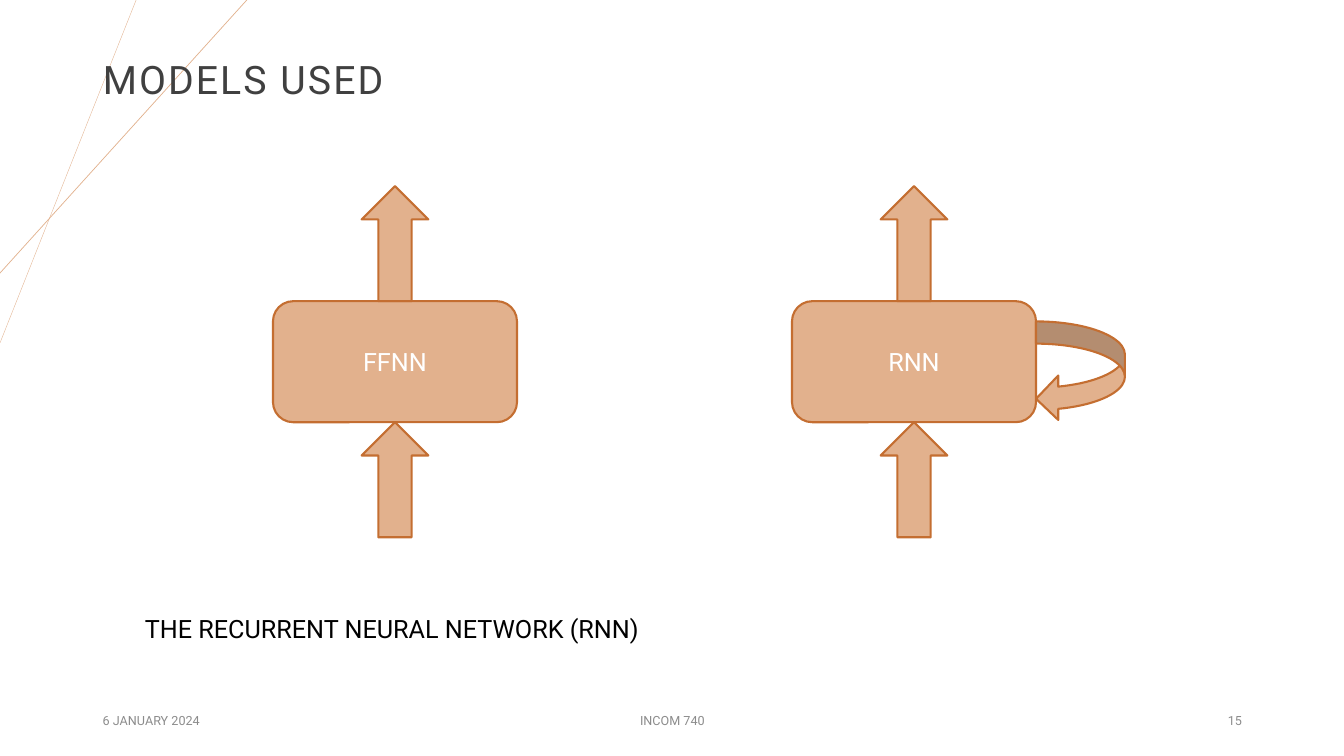
from dataclasses import dataclass

from lxml import etree
from pptx import Presentation
from pptx.dml.color import RGBColor
from pptx.enum.shapes import MSO_CONNECTOR, MSO_SHAPE
from pptx.enum.text import MSO_ANCHOR, PP_ALIGN
from pptx.oxml.ns import qn
from pptx.util import Cm, Pt

LEFT, CENTER, RIGHT = PP_ALIGN.LEFT, PP_ALIGN.CENTER, PP_ALIGN.RIGHT
TOP, MIDDLE = MSO_ANCHOR.TOP, MSO_ANCHOR.MIDDLE
STRAIGHT = MSO_CONNECTOR.STRAIGHT
ROUNDED, UP_ARROW, LOOP_ARROW = (
    MSO_SHAPE.ROUNDED_RECTANGLE, MSO_SHAPE.UP_ARROW, MSO_SHAPE.CURVED_LEFT_ARROW)

TITLE = "MODELS USED"
CAPTION = "THE RECURRENT NEURAL NETWORK (RNN)"
MODELS = [("FFNN", False), ("RNN", True)]
FOOTER = [
    ("6 JANUARY 2024", 2.34, 7.62, LEFT),
    ("INCOM 740", 11.23, 11.43, CENTER),
    ("15", 23.93, 7.62, RIGHT),
]
CORNER_LINES = [(3.43, 8.64, 0.25), (6.22, 6.88, 0.5)]


@dataclass(frozen=True)
class Theme:
    font: str = "Roboto"
    fill: str = "E2B18D"
    outline: str = "C46E31"
    title: str = "404040"
    caption: str = "000000"
    label: str = "FFFFFF"
    footer: str = "8C8C8C"
    title_size: float = 28
    body_size: float = 18
    footer_size: float = 9
    outline_width: float = 1.5


THEME = Theme()
MODEL_LEFT, MODEL_TOP, MODEL_PITCH = 6.88, 7.59, 13.08
MODEL_WIDTH, MODEL_HEIGHT = 6.15, 3.05
ARROW_WIDTH, ARROW_HEIGHT = 1.68, 2.9
LOOP_WIDTH, LOOP_HEIGHT, LOOP_DROP = 2.24, 2.51, 0.51
FOOTER_TOP, FOOTER_HEIGHT = 17.65, 1.02


def write(shape, text, *, size, color, align=LEFT, anchor=MIDDLE,
          line_spacing=None, tracking=None):
    frame = shape.text_frame
    frame.word_wrap = True
    frame.vertical_anchor = anchor
    paragraph = frame.paragraphs[0]
    paragraph.alignment = align
    paragraph.line_spacing = line_spacing
    run = paragraph.add_run()
    run.text = text
    run.font.name = THEME.font
    run.font.size = Pt(size)
    run.font.color.rgb = RGBColor.from_string(color)
    if tracking:
        run.font._element.set("spc", str(int(tracking * 100)))


def add_block(group, kind, left, top, width, height):
    block = group.shapes.add_shape(kind, Cm(left), Cm(top), Cm(width), Cm(height))
    block.shadow.inherit = False
    block.fill.solid()
    block.fill.fore_color.rgb = RGBColor.from_string(THEME.fill)
    block.line.color.rgb = RGBColor.from_string(THEME.outline)
    block.line.width = Pt(THEME.outline_width)
    return block


def add_corner_line(slide, across, down, width):
    line = slide.shapes.add_connector(STRAIGHT, Cm(across), Cm(0), Cm(0), Cm(down))
    line.line.color.rgb = RGBColor.from_string(THEME.fill)
    line.line.width = Pt(width)
    etree.SubElement(line.element.spPr, qn("a:effectLst"))


def add_model(slide, left, name, recurrent):
    group = slide.shapes.add_group_shape()
    model = add_block(group, ROUNDED, left, MODEL_TOP, MODEL_WIDTH, MODEL_HEIGHT)
    write(model, name, size=THEME.body_size, color=THEME.label, align=CENTER)
    arrow_left = left + (MODEL_WIDTH - ARROW_WIDTH) / 2
    for arrow_top in (MODEL_TOP + MODEL_HEIGHT, MODEL_TOP - ARROW_HEIGHT):
        add_block(group, UP_ARROW, arrow_left, arrow_top, ARROW_WIDTH, ARROW_HEIGHT)
    if recurrent:
        add_block(group, LOOP_ARROW, left + MODEL_WIDTH, MODEL_TOP + LOOP_DROP,
                  LOOP_WIDTH, LOOP_HEIGHT)


def add_title(slide):
    title = slide.shapes.title
    title.left, title.top, title.width, title.height = (
        Cm(2.34), Cm(0.99), Cm(23.39), Cm(2.16))
    write(title, TITLE, size=THEME.title_size, color=THEME.title,
          line_spacing=0.9, tracking=1.5)
    slide.shapes.element.append(title.element)


def main():
    deck = Presentation()
    deck.slide_width, deck.slide_height = Cm(33.87), Cm(19.05)
    slide = deck.slides.add_slide(deck.slide_layouts.get_by_name("Title Only"))

    for across, down, width in CORNER_LINES:
        add_corner_line(slide, across, down, width)
    for position, (name, recurrent) in enumerate(MODELS):
        add_model(slide, MODEL_LEFT + position * MODEL_PITCH, name, recurrent)

    caption = slide.shapes.add_textbox(Cm(3.4), Cm(15.34), Cm(15.11), Cm(1.02))
    write(caption, CAPTION, size=THEME.body_size, color=THEME.caption, anchor=TOP)
    for text, left, width, align in FOOTER:
        entry = slide.shapes.add_textbox(
            Cm(left), Cm(FOOTER_TOP), Cm(width), Cm(FOOTER_HEIGHT))
        write(entry, text, size=THEME.footer_size, color=THEME.footer, align=align)
    add_title(slide)

    deck.save("out.pptx")


if __name__ == "__main__":
    main()
